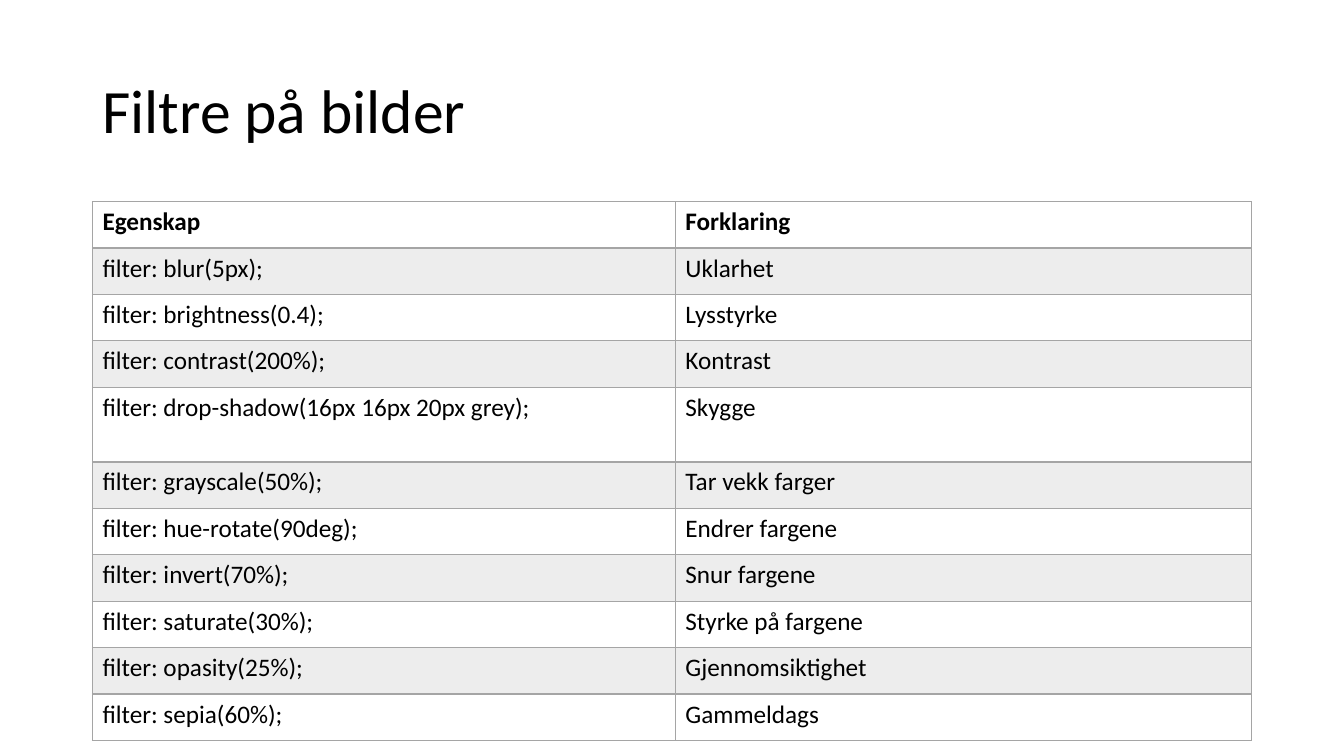
from dataclasses import dataclass

from lxml import etree
from pptx import Presentation
from pptx import util as u
from pptx.dml.color import RGBColor
from pptx.enum import text
from pptx.oxml.ns import qn


@dataclass(frozen=True)
class Theme:
    font: str = "Calibri"
    ink: str = "000000"
    rule: str = "A5A5A5"
    band: str = "EDEDED"
    heading_size: int = 44
    cell_size: int = 18


theme = Theme()


def style(paragraph, size, bold=False):
    font = paragraph.font
    font.name = theme.font
    font.size = u.Pt(size)
    font.bold = bold
    font.color.rgb = RGBColor.from_string(theme.ink)


def add_border(cell, side, width):
    line = etree.SubElement(cell._tc.get_or_add_tcPr(), qn(f"a:ln{side}"), w=str(u.Pt(width)))
    fill = etree.SubElement(line, qn("a:solidFill"))
    etree.SubElement(fill, qn("a:srgbClr"), val=theme.rule)


filters = [
    ("Egenskap", "Forklaring"),
    ("filter: blur(5px);", "Uklarhet"),
    ("filter: brightness(0.4);", "Lysstyrke"),
    ("filter: contrast(200%);", "Kontrast"),
    ("filter: drop-shadow(16px 16px 20px grey);", "Skygge"),
    ("filter: grayscale(50%);", "Tar vekk farger"),
    ("filter: hue-rotate(90deg);", "Endrer fargene"),
    ("filter: invert(70%);", "Snur fargene"),
    ("filter: saturate(30%);", "Styrke på fargene"),
    ("filter: opasity(25%);", "Gjennomsiktighet"),
    ("filter: sepia(60%);", "Gammeldags"),
]
shadow_row = 4
left, width = u.Cm(2.33), u.Cm(29.21)

deck = Presentation()
deck.slide_width, deck.slide_height = u.Cm(33.87), u.Cm(19.05)
slide = deck.slides.add_slide(deck.slide_layouts[6])

heading = slide.shapes.add_textbox(left, u.Cm(1.01), width, u.Cm(3.68)).text_frame
heading.word_wrap = True
heading.vertical_anchor = text.MSO_ANCHOR.MIDDLE
heading.text = "Filtre på bilder"
heading.paragraphs[0].line_spacing = 0.9
style(heading.paragraphs[0], theme.heading_size)

overview = slide.shapes.add_table(len(filters), 2, left, u.Cm(5.08), width, u.Cm(13.56)).table
overview.columns[0].width = u.Cm(14.69)
overview.columns[1].width = u.Cm(14.52)

for row, entry in enumerate(filters):
    overview.rows[row].height = u.Cm(1.88 if row == shadow_row else 1.17)
    for column, wording in enumerate(entry):
        cell = overview.cell(row, column)
        cell.text = wording
        style(cell.text_frame.paragraphs[0], theme.cell_size, bold=row == 0)
        for side in "LRTB":
            heavy = (row, side) in [(0, "B"), (1, "T")]
            add_border(cell, side, 2 if heavy else 1)
        if row % 2:
            cell.fill.solid()
            cell.fill.fore_color.rgb = RGBColor.from_string(theme.band)
        else:
            cell.fill.background()

deck.save("out.pptx")
